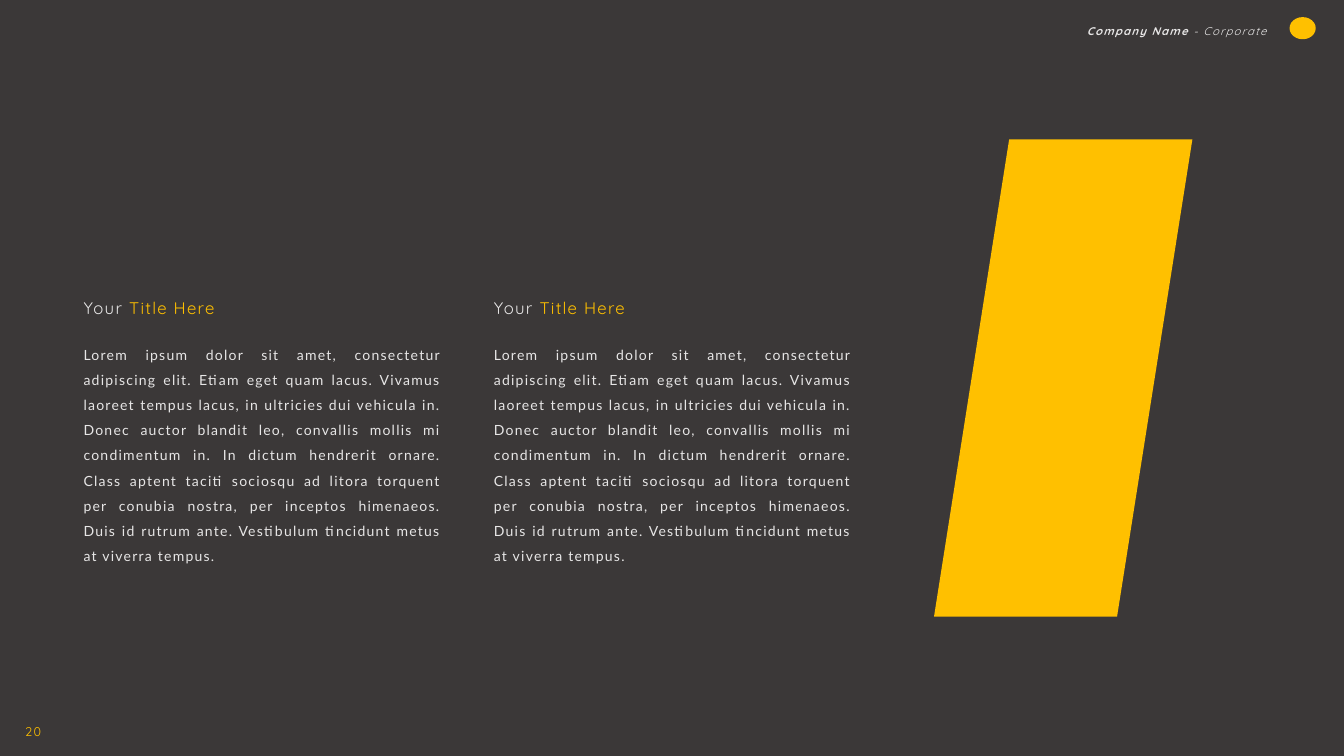
import pptx
import pptx.util
import pptx.dml.color
import pptx.enum.shapes
import pptx.enum.text

DARK = pptx.dml.color.RGBColor(0x3B, 0x38, 0x38)
GOLD = pptx.dml.color.RGBColor(0xFF, 0xC0, 0x00)
LIGHT = pptx.dml.color.RGBColor(0xE7, 0xE6, 0xE6)
ALIGN = pptx.enum.text.PP_ALIGN
BODY = (
    "Lorem ipsum dolor sit amet, consectetur adipiscing elit. Etiam eget quam lacus. "
    "Vivamus laoreet tempus lacus, in ultricies dui vehicula in. Donec auctor blandit leo, "
    "convallis mollis mi condimentum in. In dictum hendrerit ornare. Class aptent taciti "
    "sociosqu ad litora torquent per conubia nostra, per inceptos himenaeos. Duis id rutrum "
    "ante. Vestibulum tincidunt metus at viverra tempus."
)


class Page:
    """Draws styled elements on one slide, with lengths in percent of its size."""

    def __init__(self, deck):
        self.wide = deck.slide_width
        self.high = deck.slide_height
        self.slide = deck.slides.add_slide(deck.slide_layouts[6])
        self.slide.background.fill.solid()
        self.slide.background.fill.fore_color.rgb = DARK

    def point(self, x, y):
        return round(self.wide * x / 100), round(self.high * y / 100)

    def paint(self, shape, color):
        shape.shadow.inherit = False
        shape.fill.solid()
        shape.fill.fore_color.rgb = color
        shape.line.fill.background()

    def outline(self, points, color):
        first, *rest = [self.point(*p) for p in points]
        form = self.slide.shapes.build_freeform(*first)
        form.add_line_segments(rest, close=True)
        self.paint(form.convert_to_shape(), color)

    def badge(self, x, y, w, h, color):
        kind = pptx.enum.shapes.MSO_SHAPE.OVAL
        shape = self.slide.shapes.add_shape(kind, *self.point(x, y), *self.point(w, h))
        self.paint(shape, color)

    def text(self, x, y, w, h, parts, size, font="Quicksand", align=ALIGN.LEFT,
             wrap=True, italic=False):
        box = self.slide.shapes.add_textbox(*self.point(x, y), *self.point(w, h))
        frame = box.text_frame
        frame.word_wrap = wrap
        frame.auto_size = pptx.enum.text.MSO_AUTO_SIZE.SHAPE_TO_FIT_TEXT
        para = frame.paragraphs[0]
        para.alignment = align
        para.line_spacing = 1.5
        for words, color, bold in parts:
            run = para.add_run()
            run.text = words
            run.font.name = font
            run.font.size = pptx.util.Pt(size)
            run.font.color.rgb = color
            run.font.bold = bold
            run.font.italic = italic
            run._r.get_or_add_rPr().set("spc", "90")

    def column(self, x):
        self.text(x, 37.33, 13.8, 4.93,
                  [("Your ", LIGHT, False), ("Title Here", GOLD, False)], 12, wrap=False)
        self.text(x, 44, 28.06, 27.87, [(BODY, LIGHT, False)], 10, "Lato", ALIGN.JUSTIFY)


def main():
    deck = pptx.Presentation()
    deck.slide_width = pptx.util.Inches(13.33)
    deck.slide_height = pptx.util.Inches(7.5)
    page = Page(deck)
    page.outline([(75.09, 18.45), (88.72, 18.45), (83.12, 81.55), (69.5, 81.55)], GOLD)
    page.badge(95.95, 2.27, 1.95, 2.93, GOLD)
    page.text(79.82, 1.73, 15.15, 3.73,
              [("Company Name ", LIGHT, True), ("- Corporate", LIGHT, False)],
              8, align=ALIGN.RIGHT, italic=True)
    page.text(1.13, 94.13, 3.98, 4, [("20", GOLD, False)], 9)
    for x in (5.48, 36.01):
        page.column(x)
    deck.save("out.pptx")


if __name__ == "__main__":
    main()
